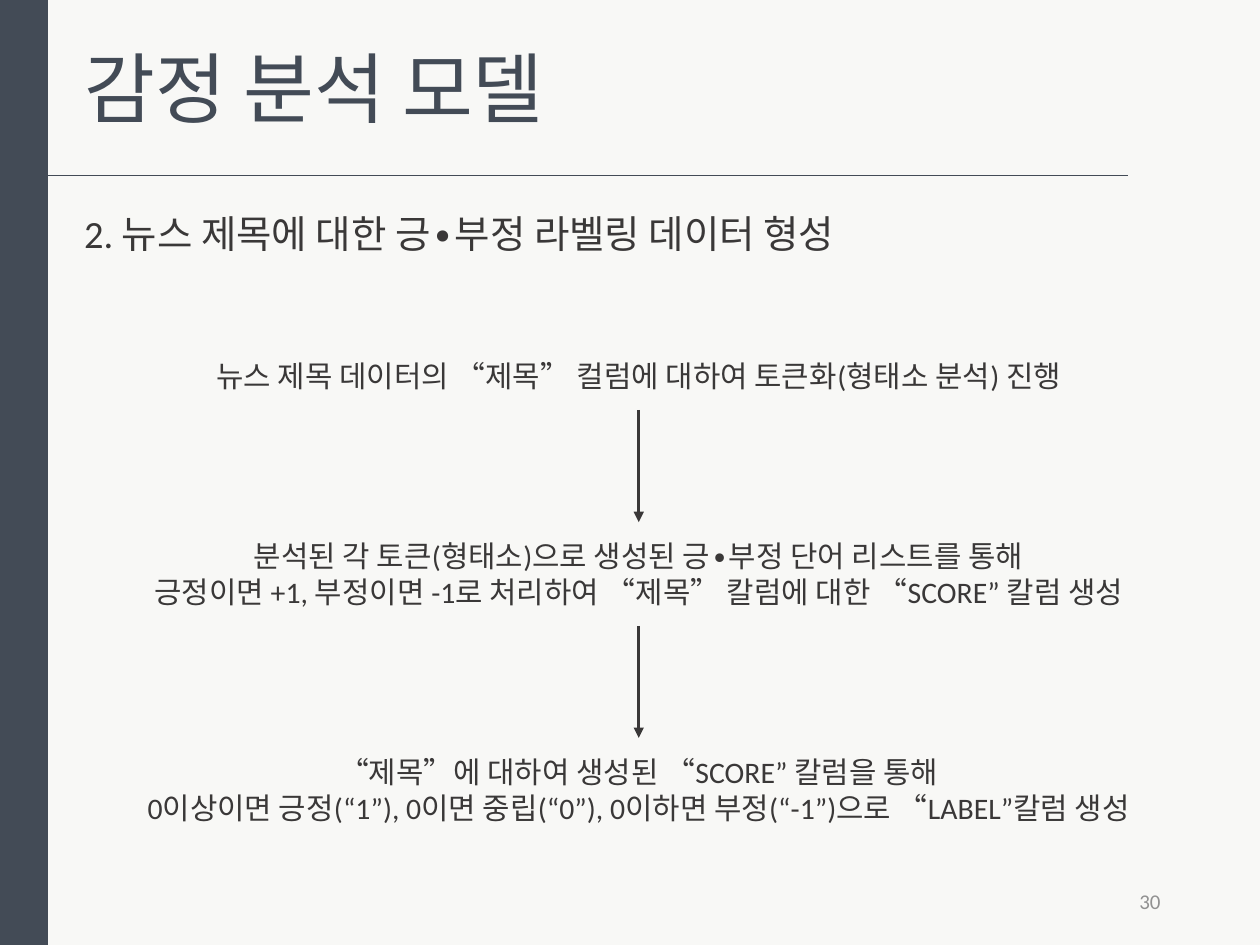
from lxml.etree import SubElement
from pptx import Presentation
from pptx.dml.color import RGBColor as RGB
from pptx.enum.shapes import MSO_CONNECTOR as CONN, MSO_SHAPE as SHAPE
from pptx.enum.text import MSO_ANCHOR as ANC, MSO_AUTO_SIZE as AUTO, PP_ALIGN as AL
from pptx.oxml.ns import qn
from pptx.util import Pt

HUES = {"back": "F8F8F6", "slate": "434B56", "ink": "3A3838", "gray": "919191"}
FONT = "Calibri"
TITLE = "감정 분석 모델"
HEAD = "2. 뉴스 제목에 대한 긍∙부정 라벨링 데이터 형성"
PAGE = "30"
STEPS = [
    ["뉴스 제목 데이터의 “제목” 컬럼에 대하여 토큰화(형태소 분석) 진행"],
    ["분석된 각 토큰(형태소)으로 생성된 긍∙부정 단어 리스트를 통해",
     "긍정이면 +1, 부정이면 -1로 처리하여 “제목” 칼럼에 대한 “SCORE” 칼럼 생성"],
    ["“제목”에 대하여 생성된 “SCORE” 칼럼을 통해",
     "0이상이면 긍정(“1”), 0이면 중립(“0”), 0이하면 부정(“-1”)으로 “LABEL”칼럼 생성"],
]
LEFT, WIDE, TOP, GAP = 8.6, 712.8, 195.1, 64.1
PAD, LINE = 19.2, 20
BAR = 27.4


def hue(name):
    return RGB.from_string(HUES[name])


def write(shape, lines, size=17, color="ink", align=AL.LEFT, anchor=ANC.MIDDLE,
          pad=(7.2, 7.2), wrap=True):
    frame = shape.text_frame
    frame.auto_size = AUTO.NONE
    frame.word_wrap = wrap
    frame.vertical_anchor = anchor
    frame.margin_left = frame.margin_right = Pt(pad[0])
    frame.margin_top = frame.margin_bottom = Pt(pad[1])
    frame.text = "\n".join(lines)
    for para in frame.paragraphs:
        para.alignment = align
        font = para.runs[0].font
        font.name, font.size = FONT, Pt(size)
        font.color.rgb = hue(color)


def box(x, y, w, h, lines, **form):
    write(slide.shapes.add_textbox(Pt(x), Pt(y), Pt(w), Pt(h)), lines, **form)


def rule(x1, y1, x2, y2, color, width, arrow=False):
    line = slide.shapes.add_connector(CONN.STRAIGHT, Pt(x1), Pt(y1), Pt(x2), Pt(y2))
    line.line.color.rgb = hue(color)
    line.line.width = Pt(width)
    props = line._element.spPr
    if arrow:
        SubElement(props.find(qn("a:ln")), qn("a:tailEnd"), type="triangle")
    SubElement(props, qn("a:effectLst"))


deck = Presentation()
deck.slide_width, deck.slide_height = Pt(720), Pt(540)
slide = deck.slides.add_slide(deck.slide_layouts[5])
fill = slide.background.fill
fill.solid()
fill.fore_color.rgb = hue("back")

bar = slide.shapes.add_shape(SHAPE.RECTANGLE, 0, 0, Pt(BAR), Pt(540))
bar.shadow.inherit = False
bar.fill.solid()
bar.fill.fore_color.rgb = hue("slate")
bar.line.fill.background()
rule(BAR, 100, 644.4, 100, "slate", 0.5)

title = slide.shapes.title
title.left, title.top, title.width, title.height = Pt(41), Pt(19.4), Pt(301), Pt(60.5)
write(title, [TITLE], size=44, color="slate", anchor=ANC.TOP, pad=(7.2, 3.6), wrap=False)
box(508.3, 500.4, 162, 28.8, [PAGE], size=12, color="gray", align=AL.RIGHT, pad=(7.2, 3.6))
box(41, 109.4, 490.3, 48.2, [HEAD], size=22)

top, mid = TOP, LEFT + WIDE / 2
for i, lines in enumerate(STEPS):
    if i:
        rule(mid, top - GAP, mid, top, "ink", 1.5, arrow=True)
    high = PAD + LINE * len(lines)
    box(LEFT, top, WIDE, high, lines, align=AL.CENTER)
    top += high + GAP

deck.save("out.pptx")
